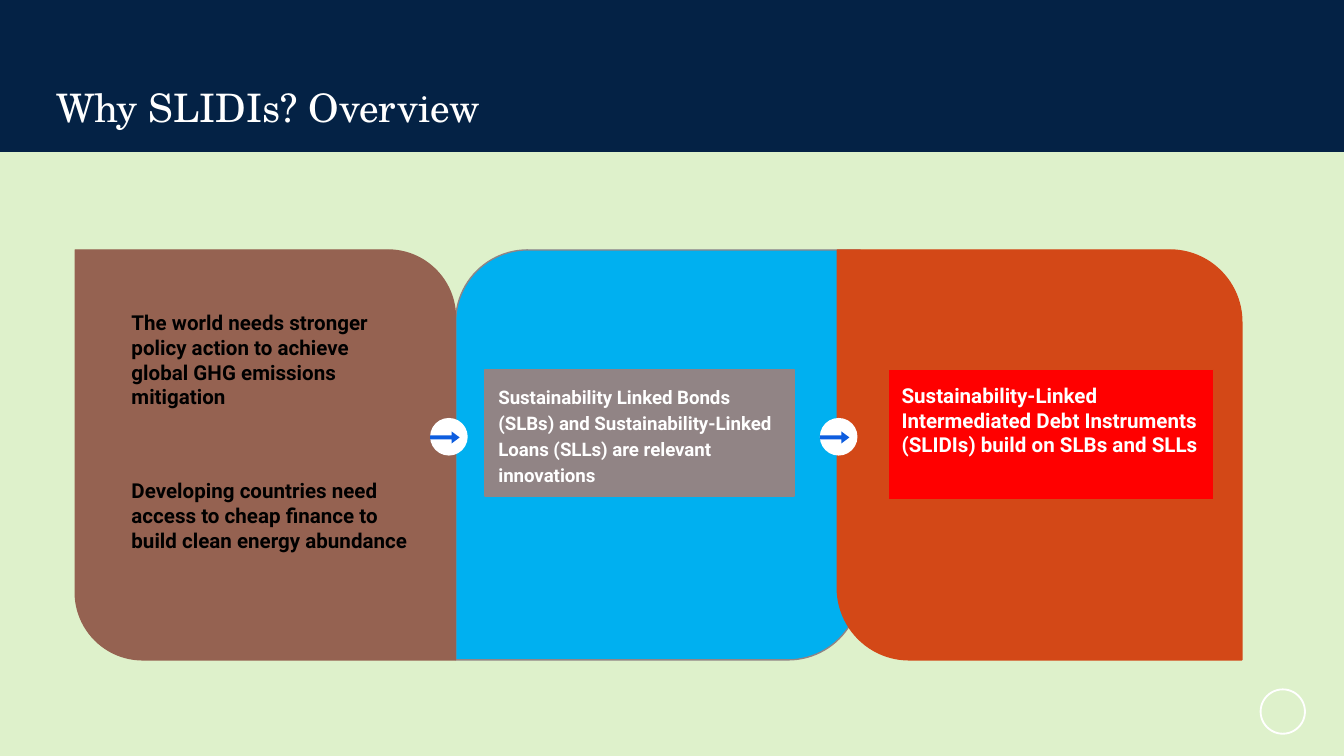
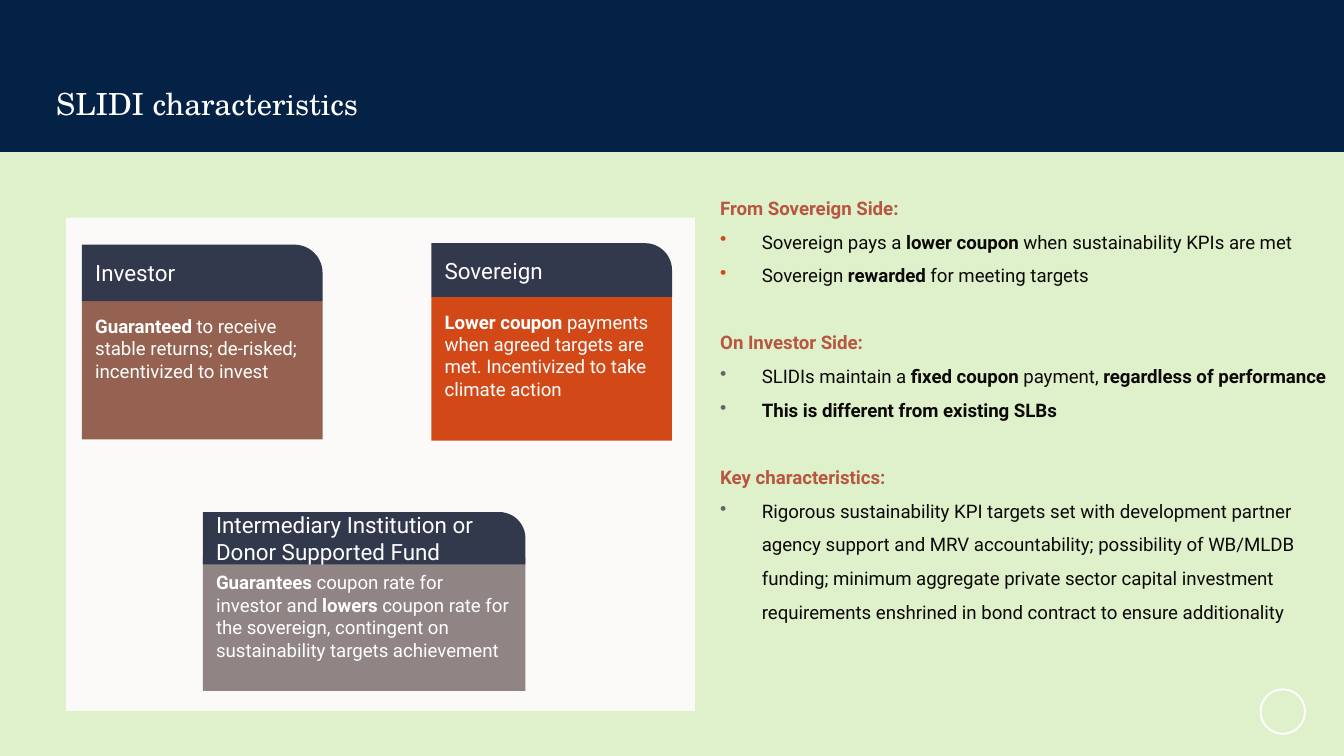
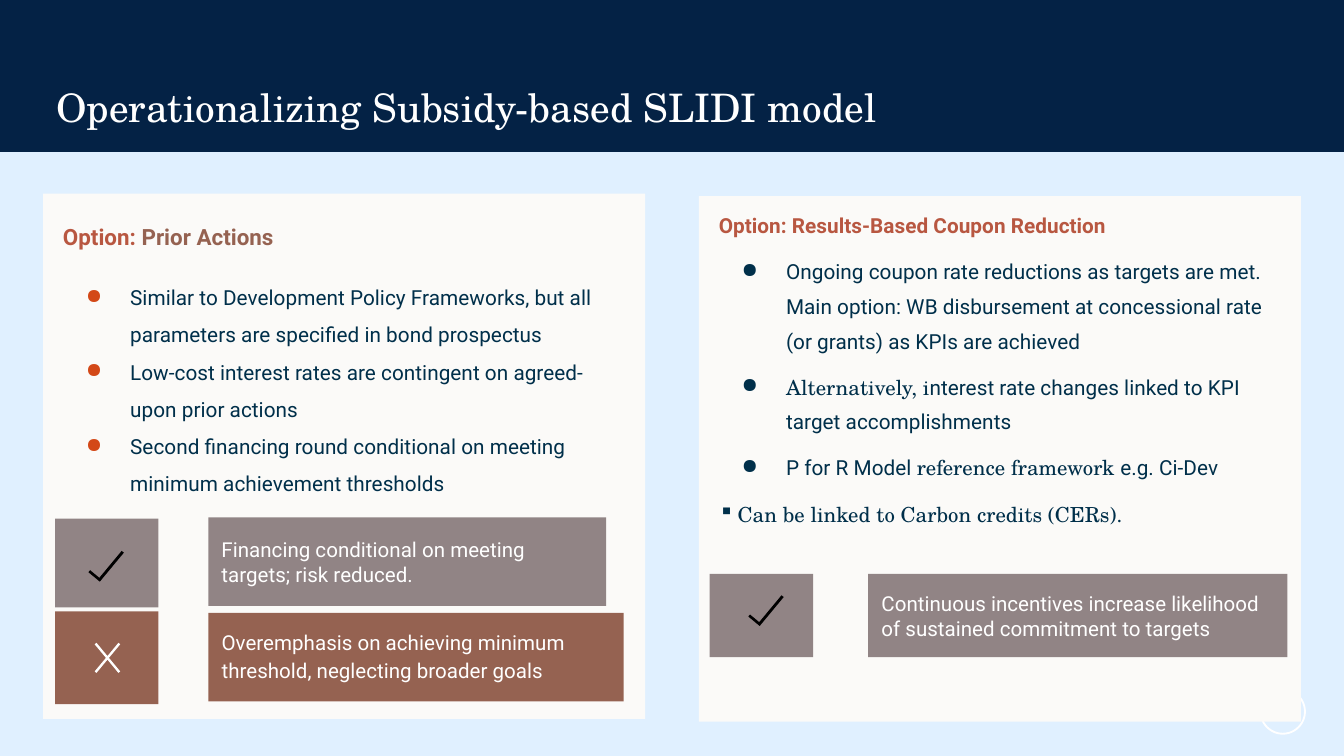
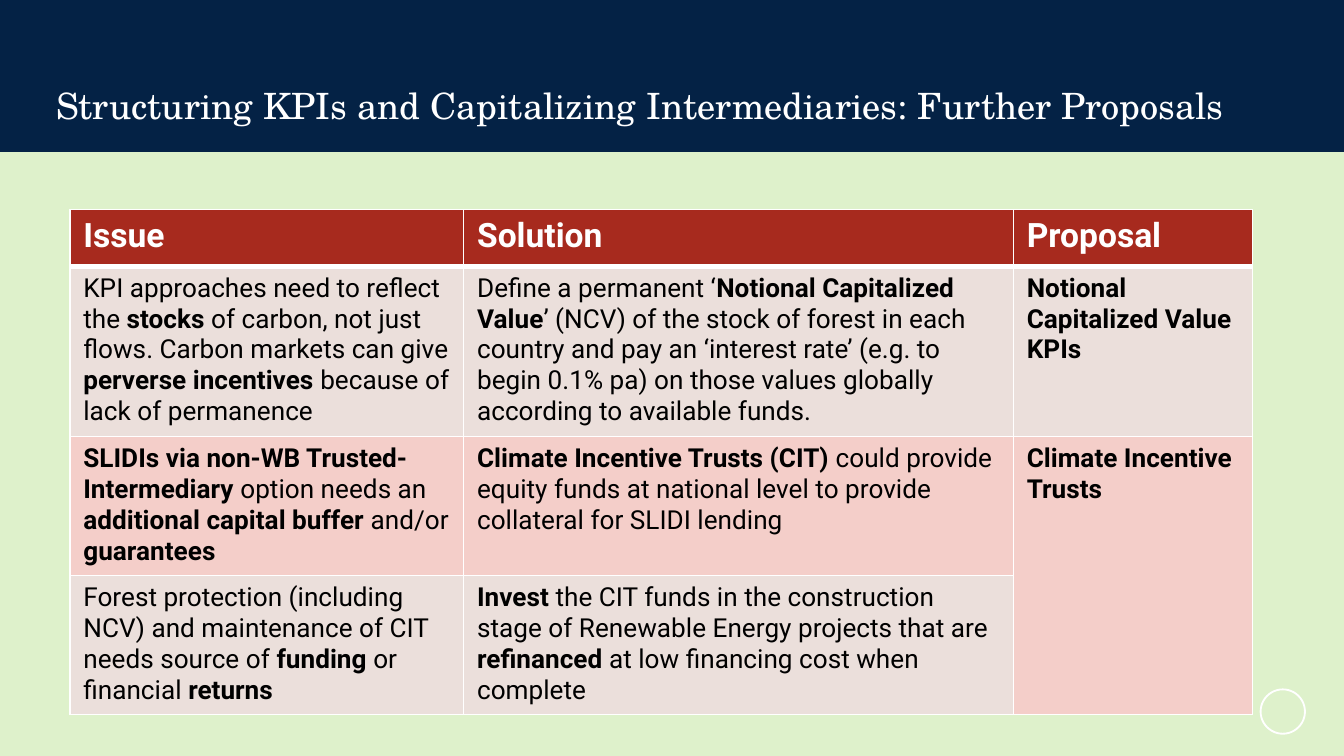
from lxml.etree import SubElement
from pptx import Presentation
from pptx.dml.color import RGBColor
from pptx.enum.shapes import MSO_SHAPE
from pptx.enum.text import MSO_ANCHOR, PP_ALIGN
from pptx.oxml.ns import qn
from pptx.util import Inches, Pt

WIDTH, HEIGHT = Inches(10), Inches(5.625)
COL, ROW = WIDTH / 100, HEIGHT / 56.25

NAVY = RGBColor(0x04, 0x22, 0x45)
SLATE = RGBColor(0x32, 0x39, 0x4D)
INK = RGBColor(0x00, 0x2F, 0x4A)
COAL = RGBColor(0x0D, 0x09, 0x09)
BLACK = RGBColor(0x00, 0x00, 0x00)
WHITE = RGBColor(0xFF, 0xFF, 0xFF)
PAPER = RGBColor(0xFB, 0xFA, 0xF8)
GREEN = RGBColor(0xDE, 0xF1, 0xCB)
SKY = RGBColor(0xE0, 0xF0, 0xFF)
BROWN = RGBColor(0x95, 0x62, 0x51)
TAUPE = RGBColor(0x91, 0x84, 0x85)
RUST = RGBColor(0xD3, 0x48, 0x17)
CLAY = RGBColor(0xB8, 0x57, 0x41)
GREY = RGBColor(0x69, 0x64, 0x64)
CYAN = RGBColor(0x00, 0xB0, 0xF0)
BLUE = RGBColor(0x0D, 0x5D, 0xDF)
RED = RGBColor(0xFF, 0x00, 0x00)
BRICK = RGBColor(0xA7, 0x2A, 0x1E)
SAND = RGBColor(0xEB, 0xDF, 0xDB)
PINK = RGBColor(0xF4, 0xCE, 0xC9)

SANS, SERIF = "Roboto", "TeX Gyre Schola"
RECT, OVAL = MSO_SHAPE.RECTANGLE, MSO_SHAPE.OVAL
LEAF = MSO_SHAPE.ROUND_2_DIAG_RECTANGLE
TAB = MSO_SHAPE.ROUND_1_RECTANGLE


def place(x, y, w, h):
    return round(x * COL), round(y * ROW), round(w * COL), round(h * ROW)


def draw(slide, kind, box, fill=None, edge=None, weight=0.75, adjust=(), turn=0):
    shape = slide.shapes.add_shape(kind, *place(*box))
    shape.shadow.inherit = False
    for index, value in enumerate(adjust):
        shape.adjustments[index] = value
    shape.rotation = turn
    if fill is None:
        shape.fill.background()
    else:
        shape.fill.solid()
        shape.fill.fore_color.rgb = fill
    if edge is None:
        shape.line.fill.background()
    else:
        shape.line.color.rgb = edge
        shape.line.width = Pt(weight)
    return shape


def frame(shape, pad=1, anchor=MSO_ANCHOR.TOP):
    text = shape.text_frame
    text.word_wrap = True
    text.vertical_anchor = anchor
    text.margin_left = text.margin_right = round(COL)
    text.margin_top = text.margin_bottom = round(pad * ROW)
    return text


def textbox(slide, box, pad=1):
    return frame(slide.shapes.add_textbox(*place(*box)), pad)


def add_runs(para, text, size, ink, bold=False, face=SANS):
    for i, part in enumerate(text.split("*")):
        for j, bit in enumerate(part.split("~")):
            if bit:
                run = para.add_run()
                run.text = bit
                font = run.font
                font.name = SERIF if j % 2 else face
                font.size = Pt(size)
                font.color.rgb = ink
                font.bold = bold or i % 2 == 1


def write(text, words, size, ink, bold=False, face=SANS, line=1.0,
          before=0, after=0, left=0, hang=0, mark="", tint=None):
    para = text.paragraphs[0]
    if para.runs:
        para = text.add_paragraph()
    props = para._p.get_or_add_pPr()
    props.set("marL", str(round(left * COL)))
    props.set("indent", str(round(-hang * COL)))
    if mark:
        tone = SubElement(props, qn("a:buClr"))
        SubElement(tone, qn("a:srgbClr")).set("val", str(tint))
        SubElement(props, qn("a:buChar")).set("char", mark)
    para.line_spacing = line
    para.space_before, para.space_after = Pt(before), Pt(after)
    para.alignment = PP_ALIGN.LEFT
    add_runs(para, words, size, ink, bold, face)
    return para


def label(slide, box, fill, words, size, ink=WHITE, bold=False, edge=None,
          kind=RECT, adjust=(), middle=False, line=1.0, after=0):
    shape = draw(slide, kind, box, fill, edge, adjust=adjust)
    anchor = MSO_ANCHOR.MIDDLE if middle else MSO_ANCHOR.TOP
    write(frame(shape, 1, anchor), words, size, ink, bold, line=line, after=after)


def start(deck, title, back=GREEN, size=21, line=0.9, pad=0.5):
    slide = deck.slides.add_slide(deck.slide_layouts[6])
    slide.background.fill.solid()
    slide.background.fill.fore_color.rgb = back
    draw(slide, OVAL, (93.8, 51.3, 3.3, 3.3), edge=WHITE, weight=1)
    draw(slide, RECT, (0, 0, 100, 11.3), NAVY)
    text = textbox(slide, (3.2, 6.1, 93.6, 5.3), pad)
    write(text, title, size, WHITE, face=SERIF, line=line)
    return slide


def card(slide, x, y, w, top, gap, h, fill, head, words):
    label(slide, (x, y + gap, w, h), fill, words, 10)
    label(slide, (x, y, w, top), SLATE, head, 12, kind=TAB, adjust=(0.5,), middle=True)


def check(slide, x, y):
    draw(slide, MSO_SHAPE.CORNER, (x, y, 2.8, 1.1), BLACK,
         adjust=(0.188, 0.181), turn=309.7)


def overview(deck):
    slide = start(deck, "Why SLIDIs? Overview")
    top, tall, bend = 18.6, 30.5, 0.178
    draw(slide, LEAF, (33.9, top, 30.1, tall), CYAN, TAUPE, adjust=(bend, 0))
    label(slide, (36.1, 27.5, 23, 9.4), TAUPE,
          "Sustainability Linked Bonds (SLBs) and Sustainability-Linked Loans (SLLs) "
          "are relevant innovations", 10, bold=True, edge=TAUPE, line=1.15, after=16)
    draw(slide, LEAF, (5.6, top, 28.3, tall), BROWN, BROWN, adjust=(0, bend))
    label(slide, (8.8, 22.1, 21.1, 9), BROWN,
          "The world needs stronger policy action to achieve global GHG emissions "
          "mitigation", 11, BLACK, True, BROWN)
    label(slide, (8.8, 34.6, 23.4, 7), BROWN,
          "Developing countries need access to cheap finance to build clean energy "
          "abundance", 11, BLACK, True, BROWN, after=6)
    draw(slide, LEAF, (62.3, top, 30.1, tall), RUST, RUST, adjust=(0, bend))
    label(slide, (66.1, 27.5, 24.2, 9.7), RED,
          "Sustainability-Linked Intermediated Debt Instruments (SLIDIs) build on "
          "SLBs and SLLs", 11, bold=True, edge=RUST)
    for x in (61, 32):
        draw(slide, OVAL, (x, 31.1, 2.8, 2.8), WHITE)
        draw(slide, MSO_SHAPE.RIGHT_ARROW, (x, 32.1, 2.2, 0.9), BLUE, adjust=(0.32, 0.67))


def traits(deck):
    slide = start(deck, "SLIDI characteristics", size=16.3, line=0.7, pad=1)
    draw(slide, RECT, (4.9, 16.2, 46.8, 36.7), PAPER)
    card(slide, 15.1, 38.1, 24, 3.9, 3.4, 9.9, TAUPE,
         "Intermediary Institution or Donor Supported Fund",
         "*Guarantees* coupon rate for investor and *lowers *coupon rate for the "
         "sovereign, contingent on sustainability targets achievement")
    card(slide, 32.1, 18.1, 17.9, 4, 4, 10.7, RUST, "Sovereign",
         "*Lower coupon *payments when agreed targets are met. Incentivized to take "
         "climate action")
    card(slide, 6.1, 18.2, 17.9, 4.2, 4.2, 10.3, BROWN, "Investor",
         "*Guaranteed* to receive stable returns; de-risked; incentivized to invest")

    text = textbox(slide, (50.9, 12.8, 49.1, 40.1))
    groups = (
        ("From Sovereign Side:", RUST, (
            "Sovereign pays a *lower coupon* when sustainability KPIs are met",
            "Sovereign* rewarded* for meeting targets")),
        ("On Investor Side:", GREY, (
            "SLIDIs maintain a *fixed coupon *payment, *regardless of performance*",
            "*This is different from existing SLBs*")),
        ("Key characteristics:", GREY, (
            "Rigorous sustainability KPI targets set with development partner agency "
            "support and MRV accountability; possibility of WB/MLDB funding; minimum "
            "aggregate private sector capital investment requirements enshrined in "
            "bond contract to ensure additionality",)),
    )
    for index, (head, tint, items) in enumerate(groups):
        write(text, head, 10, CLAY, True, line=1.5, left=1.7, before=18 if index else 0)
        for item in items:
            write(text, item, 10, COAL, line=1.5, left=4.8, hang=3.1, mark="•", tint=tint)


def model(deck):
    slide = start(deck, "Operationalizing Subsidy-based SLIDI model", SKY)
    for x, y in ((52, 14.6), (3.2, 14.4)):
        draw(slide, RECT, (x, y, 44.8, 39.1), PAPER)

    text = textbox(slide, (52.5, 14.6, 43.8, 25.7), 0.5)
    write(text, "Option: Results-Based Coupon Reduction", 11.1, CLAY, True, line=1.4)
    for item in (
            "Ongoing coupon rate reductions as targets are met. Main option: WB "
            "disbursement at concessional rate (or grants) as KPIs are achieved",
            "~Alternatively, i~nterest rate changes linked to KPI target accomplishments",
            "P for R Model ~reference framework ~e.g. Ci-Dev"):
        write(text, item, 11.1, INK, line=1.4, before=6, left=5, hang=3.3,
              mark="●", tint=INK)
    write(text, "Can be linked to Carbon credits (CERs).", 11.1, INK, face=SERIF,
          line=1.4, before=6, left=1.4, hang=1.4, mark="▪", tint=INK)

    label(slide, (15.5, 45.6, 30.9, 6.6), BROWN,
          "Overemphasis on achieving minimum threshold, neglecting broader goals",
          11, line=1.15)
    label(slide, (15.5, 38.5, 29.6, 6.6), TAUPE,
          "Financing conditional on meeting targets; risk reduced.", 11, middle=True)
    draw(slide, RECT, (4.1, 45.5, 7.7, 6.9), BROWN)
    draw(slide, RECT, (4.1, 38.6, 7.7, 6.6), TAUPE)
    check(slide, 6.5, 41.3)
    draw(slide, MSO_SHAPE.MATH_MULTIPLY, (6.3, 46.9, 3.4, 4.1), WHITE, adjust=(0.051,))
    label(slide, (64.6, 42.7, 31.2, 6.2), TAUPE,
          "Continuous incentives increase likelihood of sustained commitment to targets",
          11, middle=True)
    draw(slide, RECT, (52.8, 42.7, 7.7, 6.2), TAUPE)
    check(slide, 55.6, 44.6)

    text = textbox(slide, (3.7, 14.6, 43.8, 24.3))
    head = write(text, "Option: ", 12, CLAY, True, line=1.5)
    add_runs(head, "Prior Actions", 12, BROWN, True)
    for index, item in enumerate((
            "Similar to Development Policy Frameworks, but all parameters are "
            "specified in bond prospectus",
            "Low-cost interest rates are contingent on agreed-upon prior actions",
            "Second financing round conditional on meeting minimum achievement "
            "thresholds")):
        write(text, item, 11.1, INK, line=1.5, before=0 if index else 12,
              left=5, hang=3.3, mark="●", tint=RUST)


def border(cell, base):
    props = cell._tc.get_or_add_tcPr()
    for index, (side, weight) in enumerate(
            (("lnL", 1), ("lnR", 1), ("lnT", 1), ("lnB", base))):
        edge = props.makeelement(qn("a:" + side), {"w": str(Pt(weight))})
        tone = SubElement(edge, qn("a:solidFill"))
        SubElement(tone, qn("a:srgbClr")).set("val", str(WHITE))
        props.insert(index, edge)


def proposals(deck):
    slide = start(deck, "Structuring KPIs and Capitalizing Intermediaries: "
                        "Further Proposals", size=19.4)
    rows = (
        ("Issue", "Solution", "Proposal"),
        ("KPI approaches need to reflect the *stocks *of carbon, not just flows. "
         "Carbon markets can give *perverse incentives *because of lack of permanence",
         "Define a permanent ‘*Notional Capitalized Value*’ (NCV) of the stock of "
         "forest in each country and pay an ‘interest rate’ (e.g. to begin 0.1% pa) "
         "on those values globally according to available funds.",
         "*Notional Capitalized Value KPIs*"),
        ("*SLIDIs via non-WB Trusted-Intermediary *option needs an *additional "
         "capital buffer *and/or *guarantees*",
         "*Climate Incentive Trusts (CIT)* could provide equity funds at national "
         "level to provide collateral for SLIDI lending",
         "*Climate Incentive Trusts*"),
        ("Forest protection (including NCV) and maintenance of CIT needs source of "
         "*funding *or financial *returns*",
         "*Invest *the CIT funds in the construction stage of Renewable Energy "
         "projects that are *refinanced *at low financing cost when complete", ""),
    )
    fills = (BRICK, SAND, PINK, SAND)
    table = slide.shapes.add_table(4, 3, *place(5.2, 15.6, 88, 37.2)).table
    for index, wide in enumerate((29.3, 40.9, 17.8)):
        table.columns[index].width = round(wide * COL)
    for index, tall in enumerate((4.2, 12.6, 10.2, 10.2)):
        table.rows[index].height = round(tall * ROW)
    for r, words in enumerate(rows):
        for c, item in enumerate(words):
            cell = table.cell(r, c)
            cell.fill.solid()
            cell.fill.fore_color.rgb = fills[r]
            border(cell, 1 if r else 3)
            if item:
                size, ink = (14, BLACK) if r else (18, WHITE)
                write(cell.text_frame, item, size, ink, bold=r == 0)
    table.cell(2, 2).merge(table.cell(3, 2))


def main():
    deck = Presentation()
    deck.slide_width, deck.slide_height = WIDTH, HEIGHT
    for build in (overview, traits, model, proposals):
        build(deck)
    deck.save("out.pptx")


if __name__ == "__main__":
    main()
